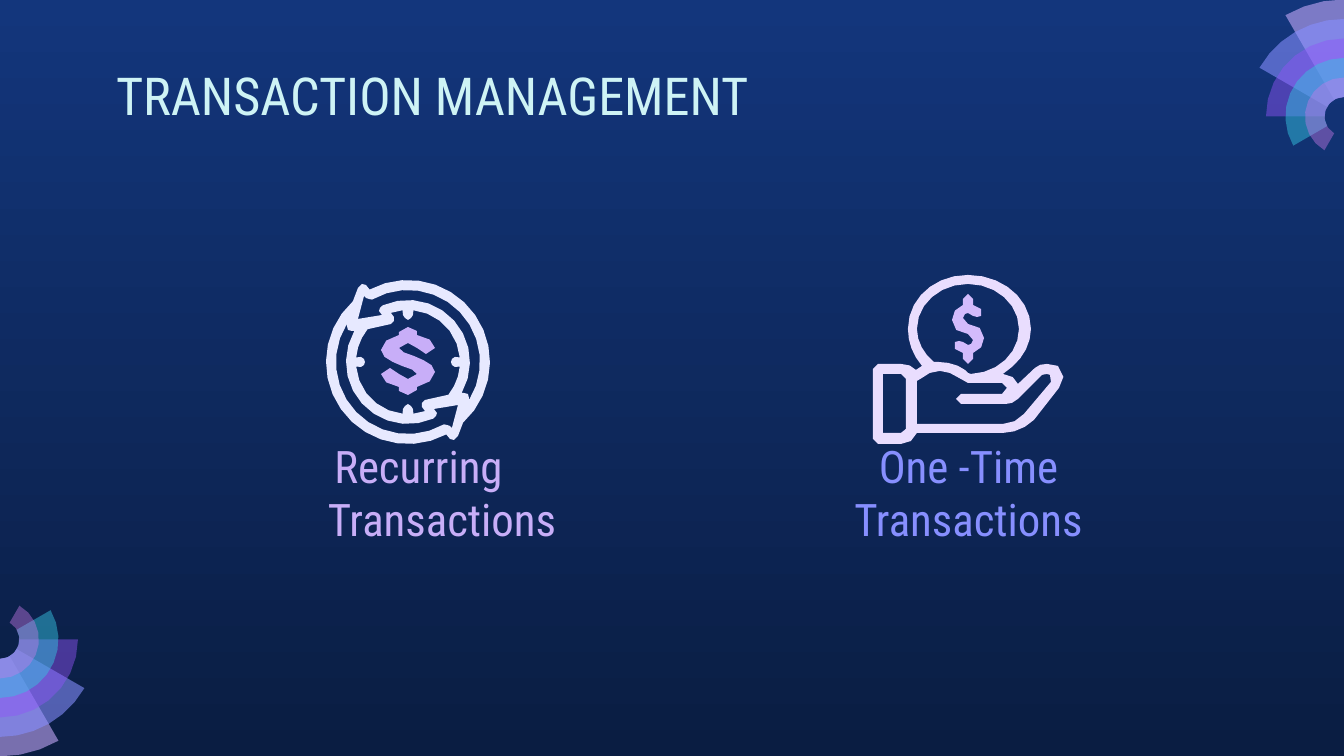
from math import ceil, cos, dist, radians, sin, sqrt

from lxml import etree
from pptx import Presentation
from pptx.dml.color import RGBColor
from pptx.enum.text import MSO_ANCHOR, MSO_AUTO_SIZE, PP_ALIGN
from pptx.oxml.ns import qn
from pptx.util import Pt

TOP, BOTTOM = MSO_ANCHOR.TOP, MSO_ANCHOR.BOTTOM
LEFT, CENTER = PP_ALIGN.LEFT, PP_ALIGN.CENTER
FIXED = MSO_AUTO_SIZE.NONE
PX = 9144000 / 1344

THEME = {
    "font": "Roboto Condensed",
    "title_size": 28, "label_size": 24,
    "title": "CEF3F5", "once": "878FFF", "repeat": "C8AEF8",
    "sky": ("13367C", "0A1D42"),
    "clock": "E7E9FF", "hand": "E9DDFE", "coin": "D3BBFC",
    # colour and opacity in percent, from the outer band inwards
    "fan": [("C8ACFD", 58), ("878FFF", 58), ("9154F8", 46),
            ("35C2DF", 49), ("CA7BEB", 42)],
}


def trace(steps, turn=1):
    """Turn points (x, y), arcs (r, from, to) and curves (6 numbers) into points.

    Steps are as long as half a pixel of error allows; a turn of -1 is half a circle.
    """
    dots = []
    for step in steps:
        if len(step) == 2:
            dots.append(step)
        elif len(step) == 3:
            r, a, b = step
            n = ceil(radians(abs(b - a)) * sqrt(r) / 2)
            angles = [radians(a + (b - a) * i / n) for i in range(n + 1)]
            dots += [(r * cos(t), r * sin(t)) for t in angles]
        else:
            ends = [dots[-1], step[:2], step[2:4], step[4:]]
            n = 1 + int(dist(ends[0], ends[3]) / 12)
            for t in [i / n for i in range(1, n + 1)]:
                mix = ((1 - t) ** 3, 3 * t * (1 - t) ** 2, 3 * t * t * (1 - t), t ** 3)
                dots.append(tuple(sum(m * e[k] for m, e in zip(mix, ends)) for k in (0, 1)))
    return [(turn * x, turn * y) for x, y in dots]


def draw(loops, mid, color, alpha=100):
    """Draw closed loops around a middle point as one filled shape."""
    loops = [[((mid[0] + x) * PX, (mid[1] + y) * PX) for x, y in loop] for loop in loops]
    pen = slide.shapes.build_freeform(*loops[0][0], scale=1.0)
    for i, loop in enumerate(loops):
        if i:
            pen.move_to(*loop[0])
        pen.add_line_segments(loop[1:], close=True)
    shape = pen.convert_to_shape()
    shape.shadow.inherit = False
    shape.line.fill.background()
    shape.fill.solid()
    shape.fill.fore_color.rgb = RGBColor.from_string(color)
    if alpha < 100:
        tone = shape.fill._xPr.find(".//" + qn("a:srgbClr"))
        etree.SubElement(tone, qn("a:alpha"), val=str(alpha * 1000))


deck = Presentation()
deck.slide_width, deck.slide_height = round(1344 * PX), round(756 * PX)
slide = deck.slides.add_slide(deck.slide_layouts[3])

sky = slide.background.fill
sky.gradient()
sky.gradient_angle = 270
for stop, color in zip(sky.gradient_stops, THEME["sky"]):
    stop.color.rgb = RGBColor.from_string(color)

# Corner fans: each band is narrower and sweeps 30 degrees further
BAND = 19.5
for mid, turn in (((0, 639.5), -1), ((1344, 116.5), 1)):
    for i, (color, alpha) in enumerate(THEME["fan"]):
        end = 240 - 30 * i
        band = [(BAND * (6 - i), 270, end), (BAND, end, 270)]
        draw([trace(band, turn)], mid, color, alpha)

# Title and labels
texts = [
    ("TRANSACTION MANAGEMENT", (103, 50, 1133, 85), "title", "title_size", LEFT, TOP, 0, 0),
    ("Recurring Transactions", (190, 462, 437, 97), "repeat", "label_size", CENTER, BOTTOM, 67, -47),
    ("One -Time Transactions", (750, 474, 437, 85), "once", "label_size", CENTER, BOTTOM, 0, 0),
]
for holder, (text, place, tone, size, align, anchor, margin, indent) in zip(slide.placeholders, texts):
    holder.left, holder.top, holder.width, holder.height = [round(v * PX) for v in place]
    frame = holder.text_frame
    frame.text = text
    frame.word_wrap = True
    frame.auto_size = FIXED
    frame.vertical_anchor = anchor
    frame.margin_left = frame.margin_right = round(13 * PX)
    frame.margin_top = frame.margin_bottom = round(13 * PX)
    para = frame.paragraphs[0]
    props = para._p.get_or_add_pPr()
    props.set("marL", str(round(margin * PX)))
    props.set("indent", str(round(indent * PX)))
    etree.SubElement(props, qn("a:buNone"))
    para.alignment = align
    para.space_before = Pt(0)
    para.font.name = THEME["font"]
    para.font.size = Pt(THEME[size])
    para.font.color.rgb = RGBColor.from_string(THEME[tone])

# Clock with two arrows: every outline repeats after half a turn
rim = [(-38, -72), (-42, -77), (-46, -78), (-50, -74), (-55, -61), (82, 228, 62)]
gap = [(72, 240, 392), (61, 36), (60, 32), (56, 31), (62, 390, 246), (-28, -54),
       (-29, -51), (-26, -47), (-44, -44), (-50, -43), (-44, -66), (-42, -64), (-39, -63)]
face = [(52, -84, -5), (47, -5), (44, -3), (43, 0), (44, 3), (47, 5), (52, 5, 39),
        (17, 38), (14, 41), (14, 45), (17, 49), (52, 71, 84),
        (5, 47), (3, 44), (0, 42), (-3, 44), (-5, 47)]
clock = [trace(rim) + trace(rim, -1), trace(gap), trace(face) + trace(face, -1), trace(gap, -1)]
draw(clock, (408, 362), THEME["clock"])

# Hand holding a coin
edge = [(0, -54), (-34, -54, -60, -30, -60, 0), (-60, 14, -55, 26, -46, 37),
        (-48, 37, -51, 40, -52, 41), (-56, 37, -60, 35, -67, 35), (-90, 35),
        (-93, 35, -95, 37, -95, 40), (-95, 110), (-95, 112, -93, 115, -90, 115),
        (-67, 115), (-59, 115, -54, 111, -51, 104), (35, 104),
        (46, 104, 58, 99, 66, 91), (91, 59), (97, 52, 97, 44, 90, 37),
        (86, 36, 83, 35, 79, 35), (74, 35, 70, 36, 67, 39), (50, 55),
        (48, 50, 43, 45, 35, 45), (39, 44, 42, 41, 44, 38),
        (56, 28, 63, 14, 63, 0), (63, -30, 35, -54, 0, -54)]
coin = [(0, -45), (28, -45, 51, -25, 51, 0), (51, 24, 30, 44, 3, 45), (0, 44), (-3, 41),
        (-9, 36, -20, 33, -30, 33), (-34, 33), (-44, 25, -51, 13, -51, 0),
        (-51, -25, -28, -45, 0, -45)]
palm = [(-28, 42), (-21, 42, -15, 45, -9, 49), (-8, 50, -3, 54, 0, 54), (34, 54),
        (38, 54, 39, 57, 39, 59), (39, 62, 38, 65, 34, 65), (-7, 65),
        (-10, 65, -12, 67, -12, 70), (-12, 74, -10, 75, -7, 75), (38, 75),
        (42, 75, 46, 74, 50, 70), (74, 46), (75, 46, 77, 45, 79, 45),
        (79, 45, 81, 45, 82, 46), (85, 48, 86, 50, 83, 53), (56, 85),
        (51, 91, 43, 95, 35, 95), (-51, 95), (-51, 52), (-46, 49),
        (-42, 45, -35, 42, -28, 42)]
cuff = [(-67, 45), (-65, 45, -62, 46, -62, 50), (-62, 100),
        (-62, 103, -65, 104, -67, 104), (-85, 104), (-85, 45)]
draw([trace(part) for part in (edge, coin, palm, cuff)], (968, 329), THEME["hand"])

# Dollar signs: the left half, then the same half turned round
small = [(0, -35), (-3, -35, -5, -33, -5, -30), (-5, -24), (-12, -22, -16, -16, -16, -9),
         (-17, -1, -9, 5, 0, 5), (3, 5, 5, 8, 5, 11), (5, 13, 4, 15, 3, 15), (0, 16),
         (-1, 16, -4, 15, -5, 13), (-7, 12, -8, 12, -9, 12), (-10, 12, -12, 12, -13, 13),
         (-15, 15, -15, 17, -13, 20), (-11, 21, -8, 24, -5, 24), (-5, 30),
         (-5, 33, -3, 35, 0, 35)]
large = [(0, -34), (-5, -34, -9, -32, -9, -29), (-9, -26), (-19, -24, -27, -18, -27, -11),
         (-27, -3, -15, 1, -6, 5), (1, 7, 9, 10, 9, 13), (9, 16, 5, 18, 0, 18),
         (-5, 18, -9, 16, -9, 13), (-9, 10, -14, 7, -18, 7), (-23, 7, -27, 10, -27, 13),
         (-27, 20, -19, 24, -9, 26), (-9, 30), (-9, 32, -5, 34, 0, 34)]
for sign, mid, tone in ((small, (968, 329), "coin"), (large, (408, 361), "repeat")):
    draw([trace(sign) + trace(sign, -1)], mid, THEME[tone])

deck.save("out.pptx")
